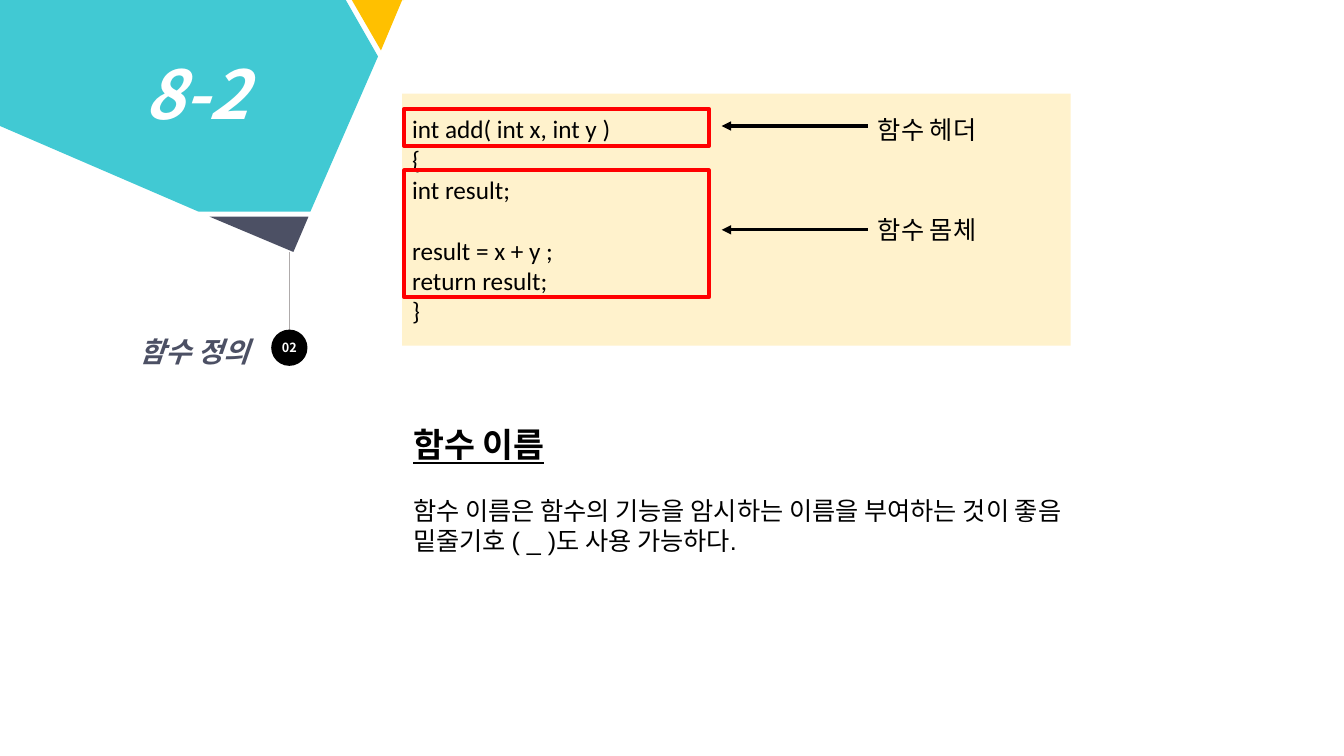
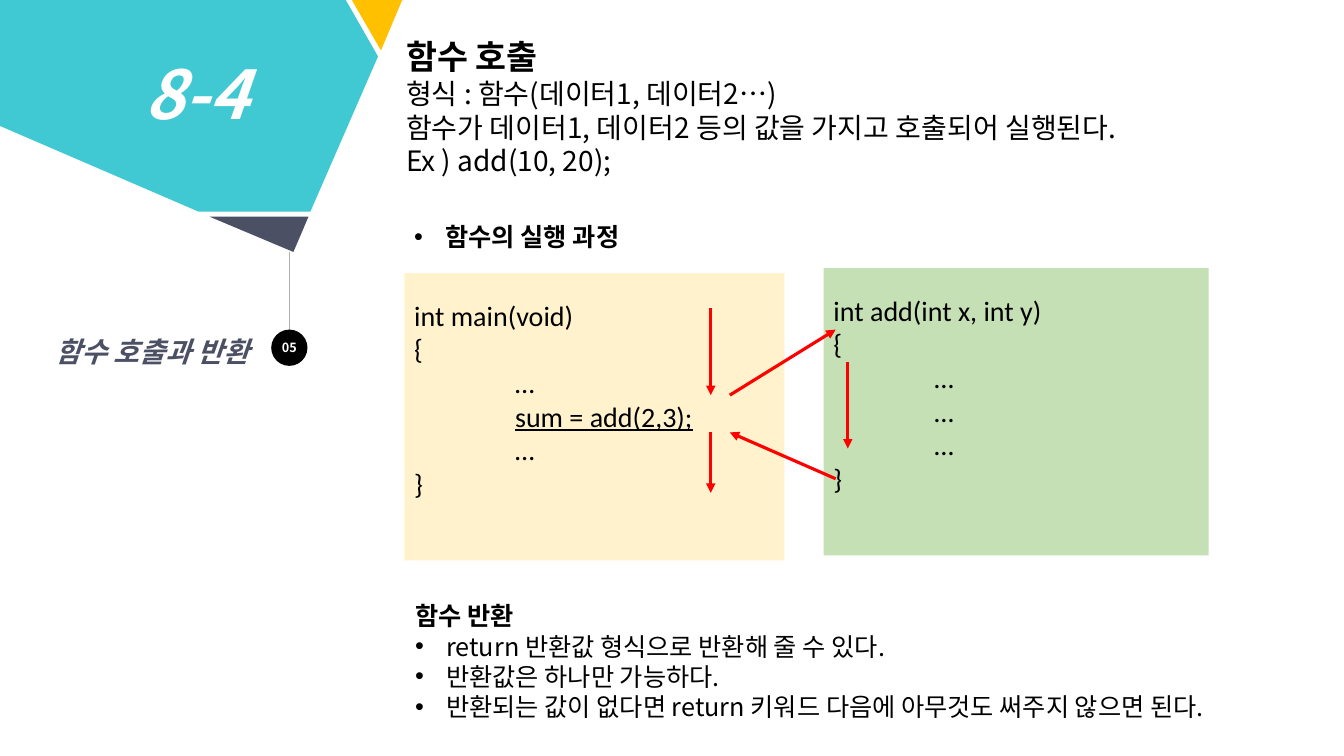
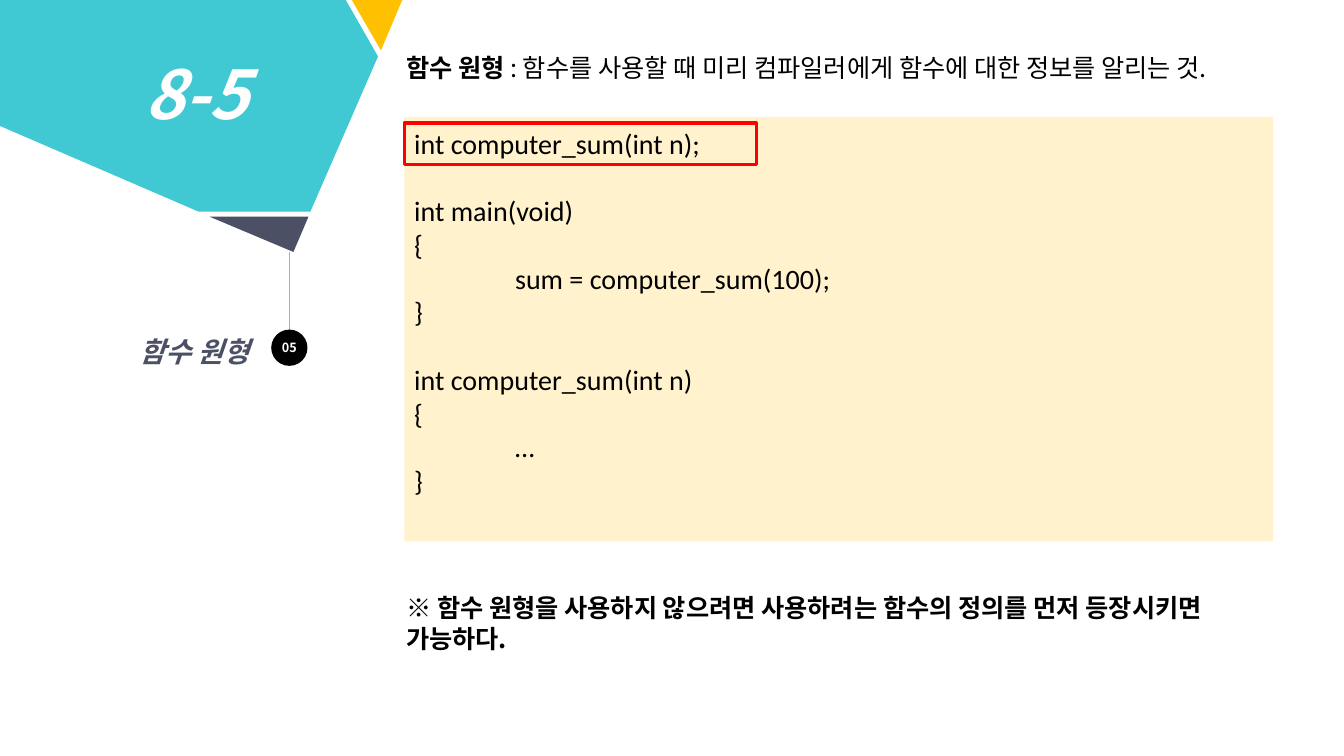
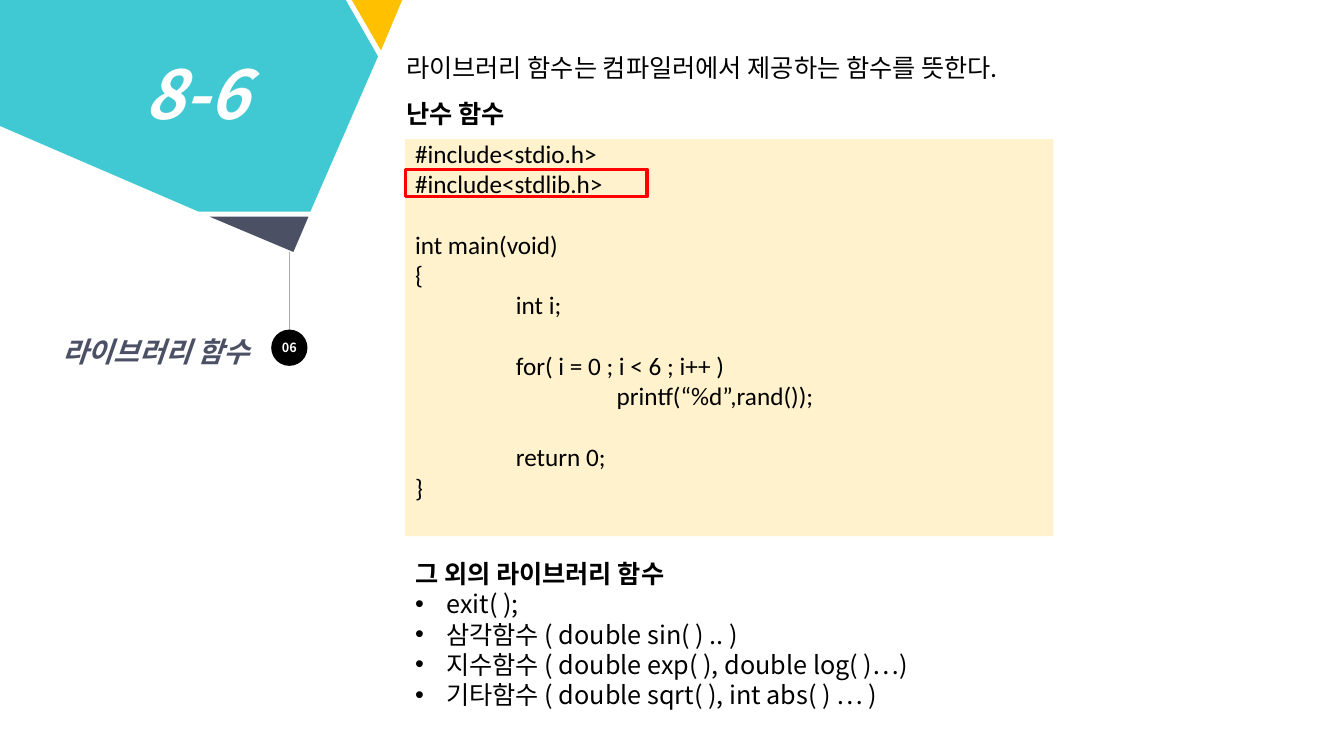
"""Four lecture slides about functions in C."""
from dataclasses import dataclass, replace

from lxml import etree
from pptx import Presentation, util as u
from pptx.dml.color import RGBColor
from pptx.enum import shapes, text
from pptx.oxml.ns import qn

WIDTH, HEIGHT = u.Inches(13.33), u.Inches(7.5)
COLORS = {
    "teal": "41C9D3", "amber": "FFC000", "navy": "4C5064", "gray": "AFABAB",
    "black": "000000", "white": "FFFFFF", "red": "FF0000",
    "cream": "FFF2CC", "green": "C5E0B4",
}
KOREAN, CODE, LATIN = "Noto Sans CJK KR", "Calibri", "Arial"
LINE_HEIGHT = 1.22
BULLET_INDENT = u.Inches(0.31)
TAB = u.Inches(1)

# The slide is a grid of 100 columns by 100 rows.
TEXT_LEFT, CODE_LEFT, LIST_LEFT = 29.48, 30.08, 30.15
LINE_ROWS = 5.33
Point = tuple[float, float]


@dataclass(frozen=True)
class Box:
    """A rectangle in grid columns and rows."""
    left: float
    top: float
    width: float
    height: float


@dataclass(frozen=True)
class Line:
    """One paragraph and its style; lead is a bold run before the text."""
    text: str
    size: float = 18
    bold: bool = False
    italic: bool = False
    underline: bool = False
    font: str = KOREAN
    color: str = "black"
    lead: str = ""
    bullet: bool = False
    tabs: int = 0
    gap: float = 0
    align: text.PP_ALIGN = text.PP_ALIGN.LEFT


@dataclass(frozen=True)
class Polygon:
    """A filled outline of the corner ornament."""
    color: str
    points: tuple[Point, ...]


@dataclass(frozen=True)
class Arrow:
    """A straight arrow between two grid points."""
    start: Point
    end: Point
    color: str = "red"


@dataclass(frozen=True)
class Header:
    """Section number, topic and badge of one slide."""
    number: str
    topic: str
    badge: str


ORNAMENT = (
    Polygon("amber", ((26.18, 0), (30.08, 0), (29.93, 0), (28.35, 6.67))),
    Polygon("teal", ((0, 0), (25.73, 0), (28.13, 7.47), (23.1, 28), (14.78, 28), (0, 16.67))),
    Polygon("navy", ((15.6, 28.67), (22.95, 28.67), (21.83, 33.33))),
)


def across(columns: float) -> int:
    """Convert grid columns to a length."""
    return round(WIDTH * columns / 100)


def down(rows: float) -> int:
    """Convert grid rows to a length."""
    return round(HEIGHT * rows / 100)


def place(box: Box) -> tuple[int, int, int, int]:
    """Convert a grid box to left, top, width and height."""
    return across(box.left), down(box.top), across(box.width), down(box.height)


def rgb(name: str) -> RGBColor:
    """Look up a colour by name."""
    return RGBColor.from_string(COLORS[name])


def style_run(run, line: Line, bold: bool) -> None:
    """Apply the style of a line to one run."""
    font = run.font
    font.size, font.bold, font.italic, font.underline = u.Pt(line.size), bold, line.italic, line.underline
    font.color.rgb = rgb(line.color)
    font.name = line.font
    etree.SubElement(run._r.get_or_add_rPr(), qn("a:ea")).set("typeface", KOREAN)


def write(frame, lines: tuple[Line, ...]) -> None:
    """Write the lines into a text frame."""
    for index, line in enumerate(lines):
        paragraph = frame.add_paragraph() if index else frame.paragraphs[0]
        paragraph.alignment = line.align
        paragraph.space_before = u.Pt(line.gap)
        if line.lead:
            paragraph.text = line.lead
            paragraph.add_run().text = line.text
        else:
            paragraph.text = line.text
        for position, run in enumerate(paragraph.runs):
            style_run(run, line, line.bold or bool(line.lead) and position == 0)
        properties = paragraph._p.get_or_add_pPr()
        if line.tabs:
            properties.set("marL", str(line.tabs * TAB))
        if line.bullet:
            properties.set("marL", str(BULLET_INDENT))
            properties.set("indent", str(-BULLET_INDENT))
            etree.SubElement(properties, qn("a:buFont")).set("typeface", LATIN)
            etree.SubElement(properties, qn("a:buChar")).set("char", "•")


def add_text(slide, box: Box, *lines: Line, wrap: bool = True) -> None:
    """Add a text box that grows with its lines."""
    frame = slide.shapes.add_textbox(*place(box)).text_frame
    frame.word_wrap = wrap
    frame.auto_size = text.MSO_AUTO_SIZE.SHAPE_TO_FIT_TEXT
    write(frame, lines)


def add_filled(slide, kind: shapes.MSO_SHAPE, box: Box, color: str):
    """Add a preset shape with a plain fill and return it."""
    shape = slide.shapes.add_shape(kind, *place(box))
    shape.shadow.inherit = False
    shape.fill.solid()
    shape.fill.fore_color.rgb = rgb(color)
    shape.line.fill.background()
    shape.text_frame.vertical_anchor = text.MSO_ANCHOR.MIDDLE
    return shape


def code_lines(source: str, size: float, underlined: str) -> tuple[Line, ...]:
    """Turn source code into lines; empty rows become spacing."""
    lines, gap = [], 0.0
    for row in source.strip().splitlines():
        content = row.strip()
        if not content:
            gap += size * LINE_HEIGHT
            continue
        tabs = (len(row) - len(row.lstrip())) // 4
        lines.append(Line(content, size, font=CODE, tabs=tabs, gap=gap, underline=content == underlined))
        gap = 0.0
    return tuple(lines)


def add_code(slide, box: Box, source: str, size: float = 20, color: str = "cream",
             underlined: str = "", bottom: float = 0.35) -> None:
    """Add a coloured panel of source code."""
    frame = add_filled(slide, shapes.MSO_SHAPE.RECTANGLE, box, color).text_frame
    frame.word_wrap = True
    frame.margin_top, frame.margin_bottom = 0, u.Inches(bottom)
    write(frame, code_lines(source, size, underlined))


def add_frame(slide, box: Box, weight: float = 2.25) -> None:
    """Add a red outline around a piece of code."""
    shape = slide.shapes.add_shape(shapes.MSO_SHAPE.RECTANGLE, *place(box))
    shape.shadow.inherit = False
    shape.fill.background()
    shape.line.color.rgb = rgb("red")
    shape.line.width = u.Pt(weight)


def add_line(slide, start: Point, end: Point, color: str, weight: float):
    """Add a straight line and return it."""
    connector = slide.shapes.add_connector(
        shapes.MSO_CONNECTOR.STRAIGHT, across(start[0]), down(start[1]), across(end[0]), down(end[1]))
    connector.line.color.rgb = rgb(color)
    connector.line.width = u.Pt(weight)
    etree.SubElement(connector._element.spPr, qn("a:effectLst"))
    return connector


def add_arrow(slide, arrow: Arrow) -> None:
    """Add a line with a triangle at its end."""
    connector = add_line(slide, arrow.start, arrow.end, arrow.color, 2.25)
    etree.SubElement(connector.line._get_or_add_ln(), qn("a:tailEnd")).set("type", "triangle")


def add_polygon(slide, polygon: Polygon) -> None:
    """Add one filled outline."""
    points = [(across(x), down(y)) for x, y in polygon.points]
    builder = slide.shapes.build_freeform(*points[0])
    builder.add_line_segments(points[1:], close=True)
    shape = builder.convert_to_shape()
    shape.shadow.inherit = False
    shape.fill.solid()
    shape.fill.fore_color.rgb = rgb(polygon.color)
    shape.line.fill.background()


def add_slide(presentation, header: Header):
    """Add a blank slide with ornament, badge and titles."""
    slide = presentation.slides.add_slide(presentation.slide_layouts[6])
    add_line(slide, (21.53, 33.33), (21.53, 48.4), "gray", 0.5)
    for polygon in ORNAMENT:
        add_polygon(slide, polygon)
    badge = add_filled(slide, shapes.MSO_SHAPE.OVAL, Box(20.18, 43.6, 2.7, 4.8), "black").text_frame
    badge.margin_left = badge.margin_right = badge.margin_top = badge.margin_bottom = 0
    write(badge, (Line(header.badge, 9, bold=True, color="white", align=text.PP_ALIGN.CENTER),))
    add_text(slide, Box(1.2, 43.6, 18.08, 5.87),
             Line(header.topic, 20, bold=True, italic=True, color="navy", align=text.PP_ALIGN.RIGHT))
    add_text(slide, Box(9.98, 6.27, 9.45, 12.13),
             Line(header.number, 48, bold=True, italic=True, color="white"), wrap=False)
    return slide


def add_list(slide, box: Box, heading: str, *items: str) -> None:
    """Add a bold heading with bulleted items."""
    bullets = (Line(item, bullet=True) for item in items)
    add_text(slide, box, Line(heading, bold=True), *bullets, wrap=False)


def build_definition(presentation) -> None:
    """Build the slide on defining a function."""
    slide = add_slide(presentation, Header("8-2", "함수 정의", "02"))
    add_code(slide, Box(29.93, 12.4, 49.73, 33.33), """
int add( int x, int y )
{
int result;

result = x + y ;
return result;
}
""", size=18, bottom=0)
    add_frame(slide, Box(CODE_LEFT, 14.4, 22.65, 4.93), 3)
    add_frame(slide, Box(CODE_LEFT, 22.53, 22.65, 16.8), 3)
    for label, label_top, arrow_top in (("함수 헤더", 14.4, 16.67), ("함수 몸체", 27.73, 30.4)):
        add_arrow(slide, Arrow((64.58, arrow_top), (53.7, arrow_top), "black"))
        add_text(slide, Box(64.58, label_top, 9.75, LINE_ROWS), Line(label), wrap=False)
    body = Line("함수 이름은 함수의 기능을 암시하는 이름을 부여하는 것이 좋음", font=LATIN)
    add_text(slide, Box(30, 55.47, 55.73, 18.8),
             Line("함수 이름", 24, bold=True, underline=True),
             replace(body, gap=18 * LINE_HEIGHT),
             replace(body, text="밑줄기호 ( _ )도 사용 가능하다."))


def build_call(presentation) -> None:
    """Build the slide on calling and returning."""
    slide = add_slide(presentation, Header("8-4", "함수 호출과 반환", "05"))
    add_text(slide, Box(TEXT_LEFT, 4.13, 63.68, 20.13),
             Line("함수 호출", 24, bold=True),
             Line("형식 : 함수(데이터1, 데이터2…)", 20),
             Line("함수가 데이터1, 데이터2 등의 값을 가지고 호출되어 실행된다.", 20),
             Line("Ex ) add(10, 20);", 20))
    add_text(slide, Box(CODE_LEFT, 28.67, 18.45, LINE_ROWS),
             Line("함수의 실행 과정", bold=True, bullet=True), wrap=False)
    add_code(slide, Box(CODE_LEFT, 36.13, 28.28, 38), """
int main(void)
{
    …
    sum = add(2,3);
    …
}
""", underlined="sum = add(2,3);")
    add_code(slide, Box(61.28, 35.47, 28.65, 38), """
int add(int x, int y)
{
    …
    …
    …
}
""", color="green")
    for arrow in (
        Arrow((52.88, 40.8), (52.88, 52.27)),
        Arrow((54.3, 52.27), (62.18, 43.6)),
        Arrow((63.08, 47.87), (63.08, 59.33)),
        Arrow((62.18, 63.33), (54.3, 57.2)),
        Arrow((52.88, 57.2), (52.88, 65.2)),
    ):
        add_arrow(slide, arrow)
    add_list(slide, Box(LIST_LEFT, 78.8, 66.6, 17.47), "함수 반환",
             "return 반환값 형식으로 반환해 줄 수 있다.",
             "반환값은 하나만 가능하다.",
             "반환되는 값이 없다면 return 키워드 다음에 아무것도 써주지 않으면 된다.")


def build_prototype(presentation) -> None:
    """Build the slide on function prototypes."""
    slide = add_slide(presentation, Header("8-5", "함수 원형", "05"))
    add_text(slide, Box(TEXT_LEFT, 6.27, 69.08, LINE_ROWS),
             Line(": 함수를 사용할 때 미리 컴파일러에게 함수에 대한 정보를 알리는 것.", lead="함수 원형 "),
             wrap=False)
    add_code(slide, Box(CODE_LEFT, 15.47, 64.65, 56.13), """
int computer_sum(int n);

int main(void)
{
    sum = computer_sum(100);
}

int computer_sum(int n)
{
    …
}
""")
    add_frame(slide, Box(CODE_LEFT, 16.27, 26.18, 5.47))
    add_text(slide, Box(TEXT_LEFT, 77.73, 67.35, 9.47),
             Line("※ 함수 원형을 사용하지 않으려면 사용하려는 함수의 정의를 먼저 등장시키면 가능하다.", bold=True))


def build_library(presentation) -> None:
    """Build the slide on library functions."""
    slide = add_slide(presentation, Header("8-6", "라이브러리 함수", "06"))
    add_text(slide, Box(TEXT_LEFT, 6.27, 50.78, LINE_ROWS),
             Line("라이브러리 함수는 컴파일러에서 제공하는 함수를 뜻한다."), wrap=False)
    add_text(slide, Box(TEXT_LEFT, 12.4, 67.35, LINE_ROWS), Line("난수 함수", bold=True))
    add_code(slide, Box(LIST_LEFT, 18.4, 48.23, 52.53), """
#include<stdio.h>
#include<stdlib.h>

int main(void)
{
    int i;

    for( i = 0 ; i < 6 ; i++ )
        printf(“%d”,rand());

    return 0;
}
""", size=18)
    add_frame(slide, Box(LIST_LEFT, 22.4, 18, 3.6))
    add_list(slide, Box(LIST_LEFT, 73.2, 39, 21.6), "그 외의 라이브러리 함수",
             "exit( );",
             "삼각함수 ( double sin( ) .. )",
             "지수함수 ( double exp( ), double log( )…)",
             "기타함수 ( double sqrt( ), int abs( ) … )")


def main() -> None:
    """Build and save the presentation."""
    presentation = Presentation()
    presentation.slide_width, presentation.slide_height = WIDTH, HEIGHT
    for build in (build_definition, build_call, build_prototype, build_library):
        build(presentation)
    presentation.save("out.pptx")


main()
